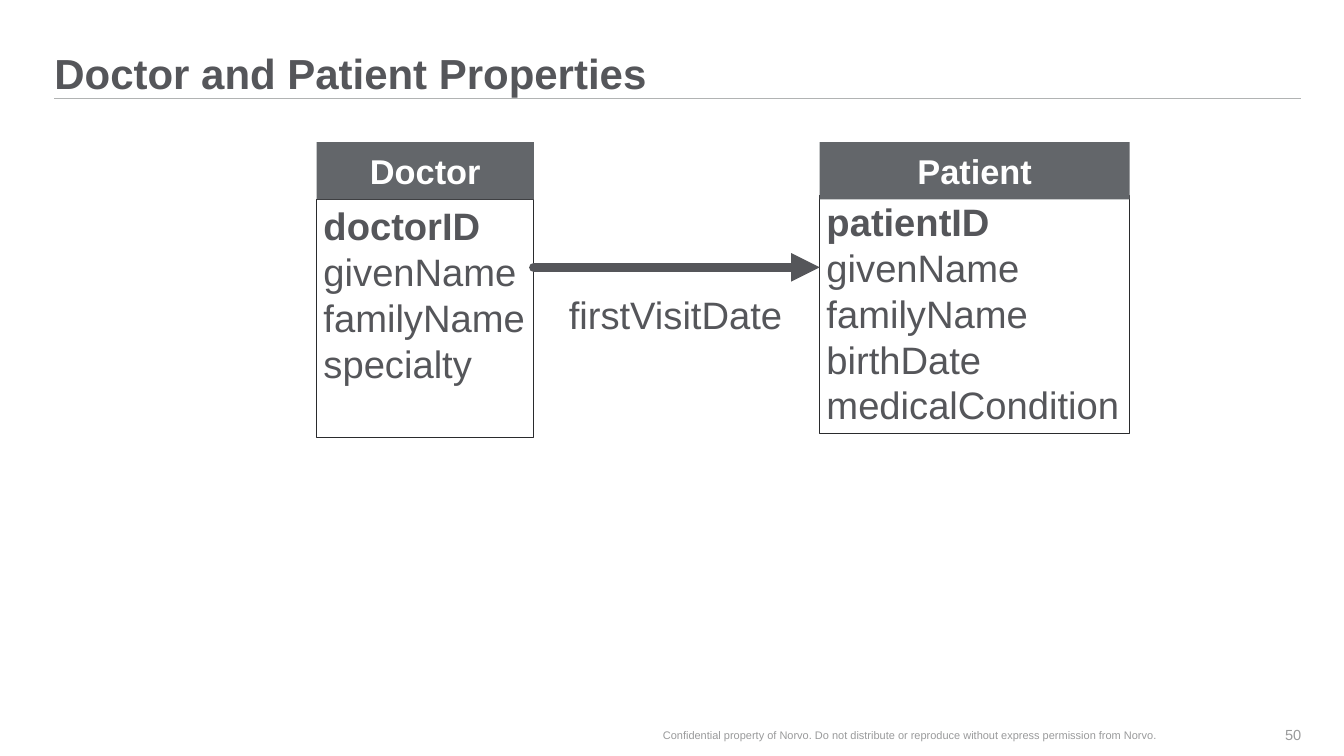
from dataclasses import dataclass

from lxml import etree
from pptx import Presentation
from pptx.dml.color import RGBColor
from pptx.enum.shapes import MSO_CONNECTOR, MSO_SHAPE
from pptx.enum.text import MSO_ANCHOR, MSO_AUTO_SIZE, PP_ALIGN
from pptx.oxml.ns import qn
from pptx.util import Inches, Pt

RECTANGLE = MSO_SHAPE.RECTANGLE
STRAIGHT = MSO_CONNECTOR.STRAIGHT
TOP, MIDDLE, BOTTOM = MSO_ANCHOR.TOP, MSO_ANCHOR.MIDDLE, MSO_ANCHOR.BOTTOM
LEFT, CENTER, RIGHT = PP_ALIGN.LEFT, PP_ALIGN.CENTER, PP_ALIGN.RIGHT
NO_FIT = MSO_AUTO_SIZE.NONE

FONT = "Arial"
COLORS = {
    "text": "55565A",
    "muted": "999A9B",
    "rule": "B1B3B3",
    "border": "2A2B2D",
    "header": "63666A",
    "white": "FFFFFF",
}
TITLE_ONLY = 5
HEADER_TOP, HEADER_HEIGHT = 2.07, 0.83
LIST_HEIGHT = 3.47
ARROW_Y = 3.89


@dataclass
class Entity:
    name: str
    left: float
    width: float
    list_top: float
    properties: list[str]


@dataclass
class TextStyle:
    size: float
    color: str = "text"
    align: PP_ALIGN = LEFT
    anchor: MSO_ANCHOR = TOP
    spacing: float = 1.0
    inset: bool = True
    bold: bool = False


ENTITIES = [
    Entity("Doctor", 4.61, 3.16, 2.9,
           ["doctorID", "givenName", "familyName", "specialty"]),
    Entity("Patient", 11.93, 4.51, 2.84,
           ["patientID", "givenName", "familyName", "birthDate", "medicalCondition"]),
]

TITLE = TextStyle(44, anchor=BOTTOM, spacing=0.9, inset=False, bold=True)
HEADER = TextStyle(36, "white", CENTER, MIDDLE, bold=True)
PROPERTY = TextStyle(40)
FOOTER = TextStyle(11.5, "muted", CENTER, MIDDLE, inset=False)
PAGE_NUMBER = TextStyle(15.3, "muted", RIGHT, MIDDLE, inset=False)


def rgb(name: str) -> RGBColor:
    return RGBColor.from_string(COLORS[name])


def write(box, lines: list[str], style: TextStyle, bold_first: bool = False) -> None:
    frame = box.text_frame
    frame_format = {"word_wrap": True, "auto_size": NO_FIT, "vertical_anchor": style.anchor}
    if not style.inset:
        frame_format |= dict.fromkeys(
            ("margin_left", "margin_top", "margin_right", "margin_bottom"), 0)
    for key, value in frame_format.items():
        setattr(frame, key, value)
    for index, line in enumerate(lines):
        para = frame.add_paragraph() if index else frame.paragraphs[0]
        para.alignment = style.align
        para.line_spacing = style.spacing
        span = para.add_run()
        span.text = line
        font_format = {"name": FONT, "size": Pt(style.size),
                       "bold": style.bold or (bold_first and index == 0)}
        for key, value in font_format.items():
            setattr(span.font, key, value)
        span.font.color.rgb = rgb(style.color)


def add_label(slide, text: str, place: tuple, style: TextStyle) -> None:
    box = slide.shapes.add_textbox(*map(Inches, place))
    write(box, [text], style)


def add_rectangle(slide, place: tuple):
    box = slide.shapes.add_shape(RECTANGLE, *map(Inches, place))
    box.shadow.inherit = False
    return box


def add_line(slide, start: tuple, end: tuple, color: str, width: float):
    line = slide.shapes.add_connector(STRAIGHT, *map(Inches, start + end))
    line.line.color.rgb = rgb(color)
    line.line.width = Pt(width)
    etree.SubElement(line.element.spPr, qn("a:effectLst"))
    return line


def add_arrow(slide, start: tuple, end: tuple) -> None:
    """Draw a thick round-capped line with a triangular head."""
    arrow = add_line(slide, start, end, "text", 10)
    outline = arrow.element.spPr.find(qn("a:ln"))
    outline.set("cap", "rnd")
    etree.SubElement(outline, qn("a:tailEnd"), type="triangle")


def add_entity(slide, entity: Entity) -> None:
    listing = add_rectangle(slide, (entity.left, entity.list_top, entity.width, LIST_HEIGHT))
    listing.fill.background()
    listing.line.color.rgb = rgb("border")
    listing.line.width = Pt(0.75)
    write(listing, entity.properties, PROPERTY, bold_first=True)

    header = add_rectangle(slide, (entity.left, HEADER_TOP, entity.width, HEADER_HEIGHT))
    header.fill.solid()
    header.fill.fore_color.rgb = rgb("header")
    header.line.fill.background()
    write(header, [entity.name], HEADER)


def main() -> None:
    deck = Presentation()
    deck.slide_width, deck.slide_height = Inches(19.56), Inches(11)
    slide = deck.slides.add_slide(deck.slide_layouts[TITLE_ONLY])

    add_line(slide, (0.79, 1.43), (18.94, 1.43), "rule", 1)
    title = slide.shapes.title
    title_place = {"left": 0.79, "top": 0.58, "width": 18.15, "height": 0.85}
    for key, value in title_place.items():
        setattr(title, key, Inches(value))
    write(title, ["Doctor and Patient Properties"], TITLE)

    add_label(slide, "Confidential property of Norvo. Do not distribute or reproduce "
              "without express permission from Norvo.", (8.49, 10.4, 9.5, 0.59), FOOTER)
    add_label(slide, "50", (18.07, 10.4, 0.87, 0.59), PAGE_NUMBER)

    for entity in ENTITIES:
        add_entity(slide, entity)
    doctor, patient = ENTITIES
    add_arrow(slide, (doctor.left + doctor.width, ARROW_Y), (patient.left, ARROW_Y))
    add_label(slide, "firstVisitDate", (8.18, 4.19, 3.34, 0.77), PROPERTY)

    deck.save("out.pptx")


if __name__ == "__main__":
    main()
